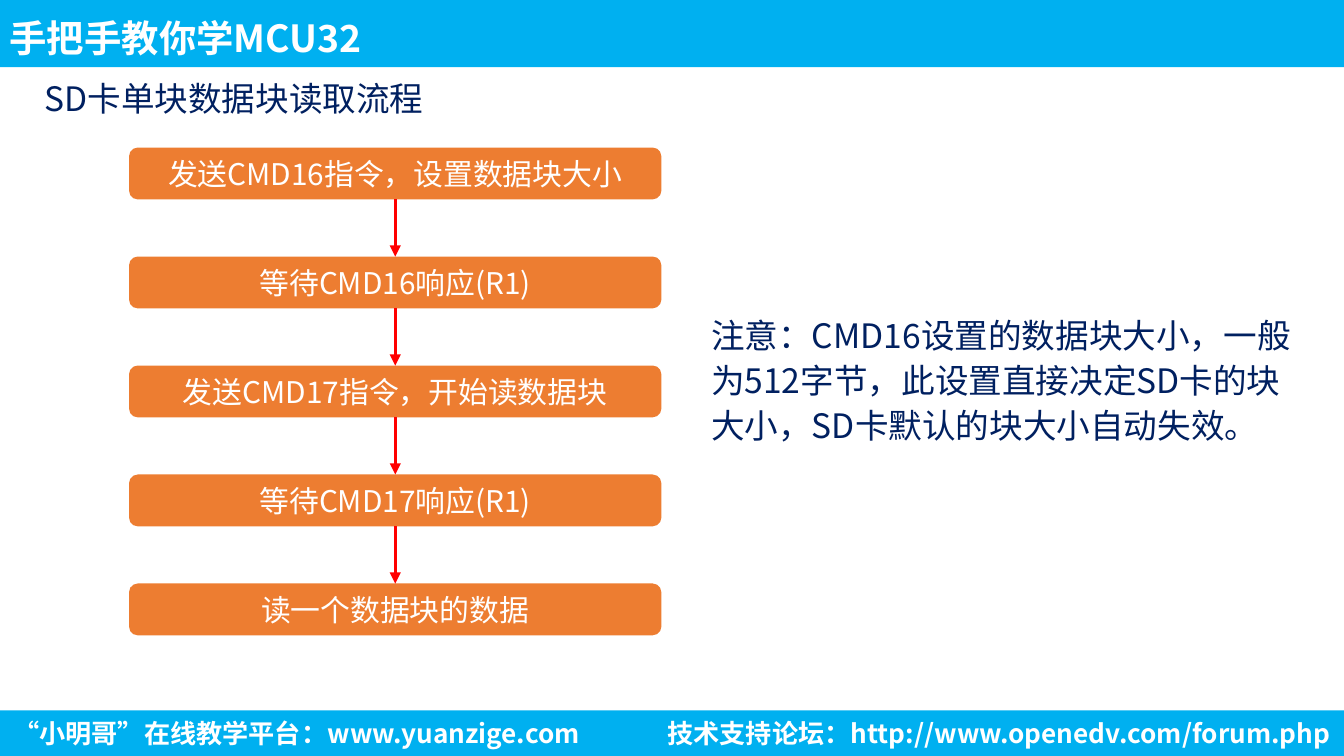
from pptx import Presentation
from pptx.dml.color import RGBColor
from pptx.enum.shapes import MSO_CONNECTOR as Connector, MSO_SHAPE as Shape
from pptx.enum.text import MSO_ANCHOR as Anchor, PP_ALIGN as Align
from pptx.oxml.ns import qn
from pptx.util import Cm, Pt
from lxml.etree import SubElement

FONT = "Noto Sans CJK SC"
SKY, ORANGE, RED, NAVY, WHITE = "00B0F0", "ED7D31", "FF0000", "002060", "FFFFFF"
PAGE_W, PAGE_H = 25.4, 14.29

STEPS = [
    "发送CMD16指令，设置数据块大小",
    "等待CMD16响应(R1)",
    "发送CMD17指令，开始读数据块",
    "等待CMD17响应(R1)",
    "读一个数据块的数据",
]


def color(value):
    return RGBColor.from_string(value)


def write(shape, text, size, ink, bold=False, align=Align.LEFT,
          anchor=Anchor.TOP, inset=(0.25, 0.13), spacing=None):
    """Put one styled paragraph into a shape."""
    frame = shape.text_frame
    frame.text = text
    frame.word_wrap = True
    frame.vertical_anchor = anchor
    frame.margin_left = frame.margin_right = Cm(inset[0])
    frame.margin_top = frame.margin_bottom = Cm(inset[1])
    para = frame.paragraphs[0]
    para.alignment = align
    para.line_spacing = spacing
    span = para.runs[0]
    span.font.name = FONT
    span.font.size = Pt(size)
    span.font.bold = bold
    span.font.color.rgb = color(ink)
    SubElement(span.font._element, qn("a:ea"), typeface=FONT)


def add_label(page, box, text, size, ink, **style):
    label = page.shapes.add_textbox(*map(Cm, box))
    write(label, text, size, ink, **style)


def add_block(page, kind, box, fill):
    block = page.shapes.add_shape(kind, *map(Cm, box))
    block.shadow.inherit = False
    block.fill.solid()
    block.fill.fore_color.rgb = color(fill)
    block.line.fill.background()
    return block


def add_arrow(page, x, top, bottom):
    arrow = page.shapes.add_connector(
        Connector.STRAIGHT, Cm(x), Cm(top), Cm(x), Cm(bottom))
    arrow.line.color.rgb = color(RED)
    arrow.line.width = Pt(1.5)
    SubElement(arrow.line._get_or_add_ln(), qn("a:tailEnd"), type="triangle")
    SubElement(arrow._element.spPr, qn("a:effectLst"))


def add_header(page, box):
    left, top, _, height = box
    add_block(page, Shape.RECTANGLE, box, SKY)
    add_label(page, (left, top, 16.38, height), "手把手教你学MCU32", 20, WHITE,
              bold=True, anchor=Anchor.MIDDLE, inset=(0.18, 0.1), spacing=1.2)


def add_footer(page, box):
    left, top, width, height = box
    add_block(page, Shape.RECTANGLE, box, SKY)
    add_label(page, (left, top, 14.94, height),
              "“小明哥”在线教学平台：www.yuanzige.com", 14, WHITE, bold=True)
    forum_w = 15.93
    add_label(page, (left + width - forum_w, top, forum_w, height),
              "技术支持论坛：http://www.openedv.com/forum.php", 14, WHITE,
              bold=True, align=Align.RIGHT)


def add_flow(page, box, steps, step_h=0.98):
    """Spread the steps evenly down the box and join them with arrows."""
    left, top, width, height = box
    pitch = (height - step_h) / (len(steps) - 1)
    for index, text in enumerate(steps):
        step_top = top + index * pitch
        step = add_block(page, Shape.ROUNDED_RECTANGLE,
                         (left, step_top, width, step_h), ORANGE)
        write(step, text, 16, WHITE, align=Align.CENTER, anchor=Anchor.MIDDLE)
        if index:
            add_arrow(page, left + width / 2, step_top - pitch + step_h, step_top)


def add_note(page, box, text, spacing=None):
    add_label(page, box, text, 18, NAVY, inset=(0.13, 0.05), spacing=spacing)


def main():
    deck = Presentation()
    deck.slide_width, deck.slide_height = Cm(PAGE_W), Cm(PAGE_H)
    page = deck.slides.add_slide(deck.slide_layouts[6])

    # Bars across the page
    add_footer(page, (0, 13.43, PAGE_W, 0.86))
    add_header(page, (0, 0, PAGE_W, 1.27))

    # Topic, reading flow and remark
    add_note(page, (0.71, 1.42, 9.19, 0.89), "SD卡单块数据块读取流程")
    add_flow(page, (2.44, 2.79, 10.06, 9.22), STEPS)
    add_note(page, (13.31, 5.82, 11.4, 2.64),
             "注意：CMD16设置的数据块大小，一般为512字节，此设置直接决定SD卡的块大小，"
             "SD卡默认的块大小自动失效。", Pt(24))

    deck.save("out.pptx")


if __name__ == "__main__":
    main()
